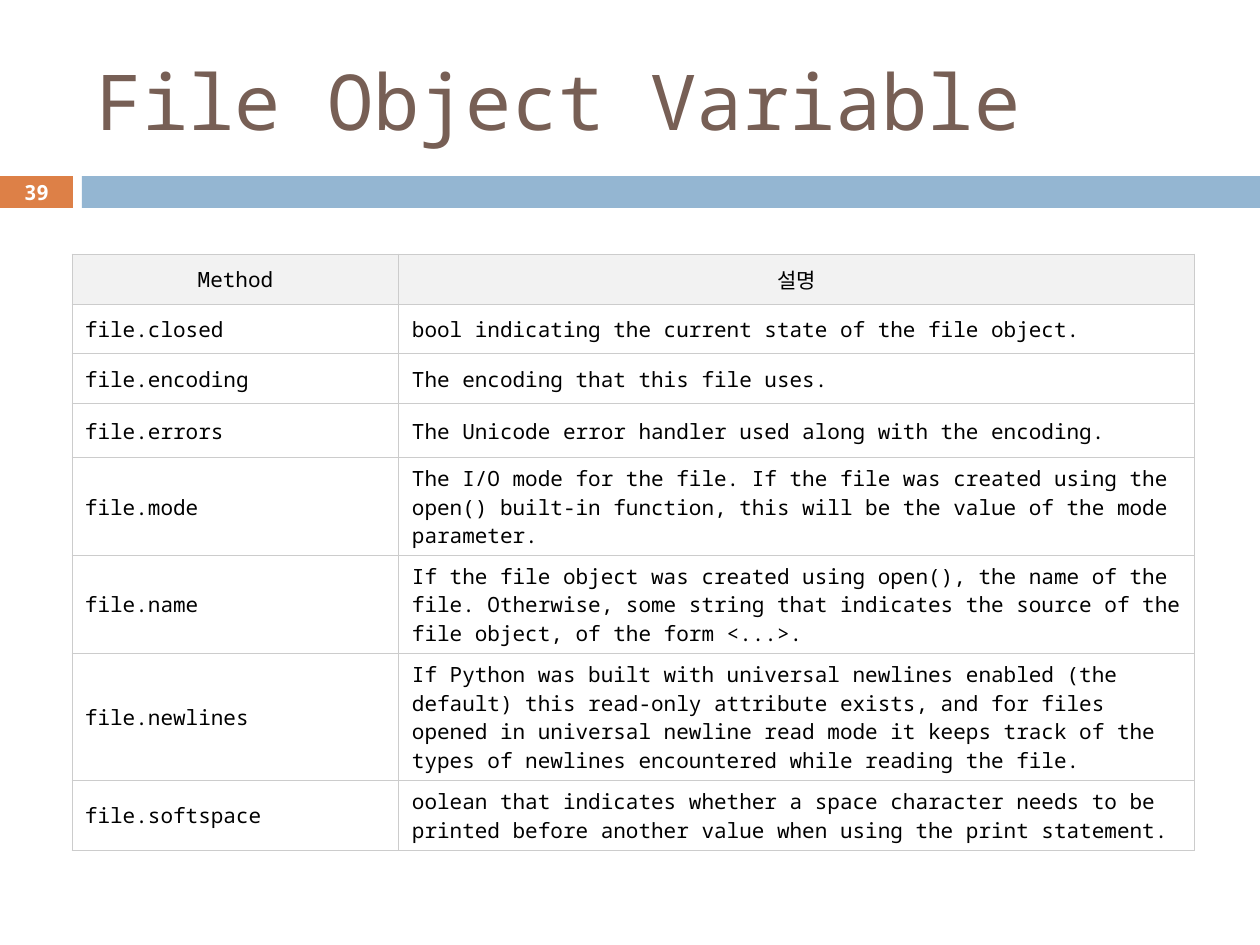
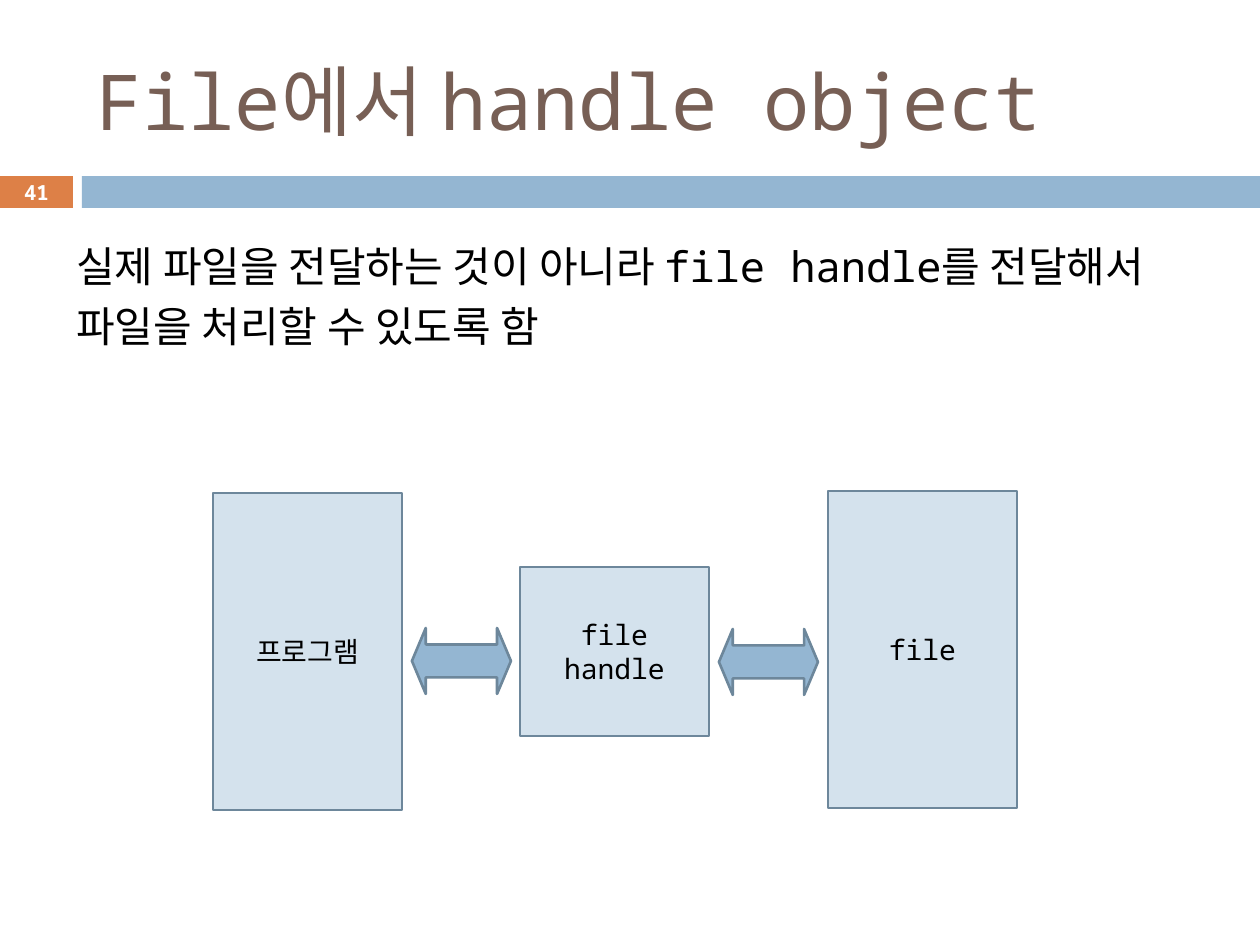
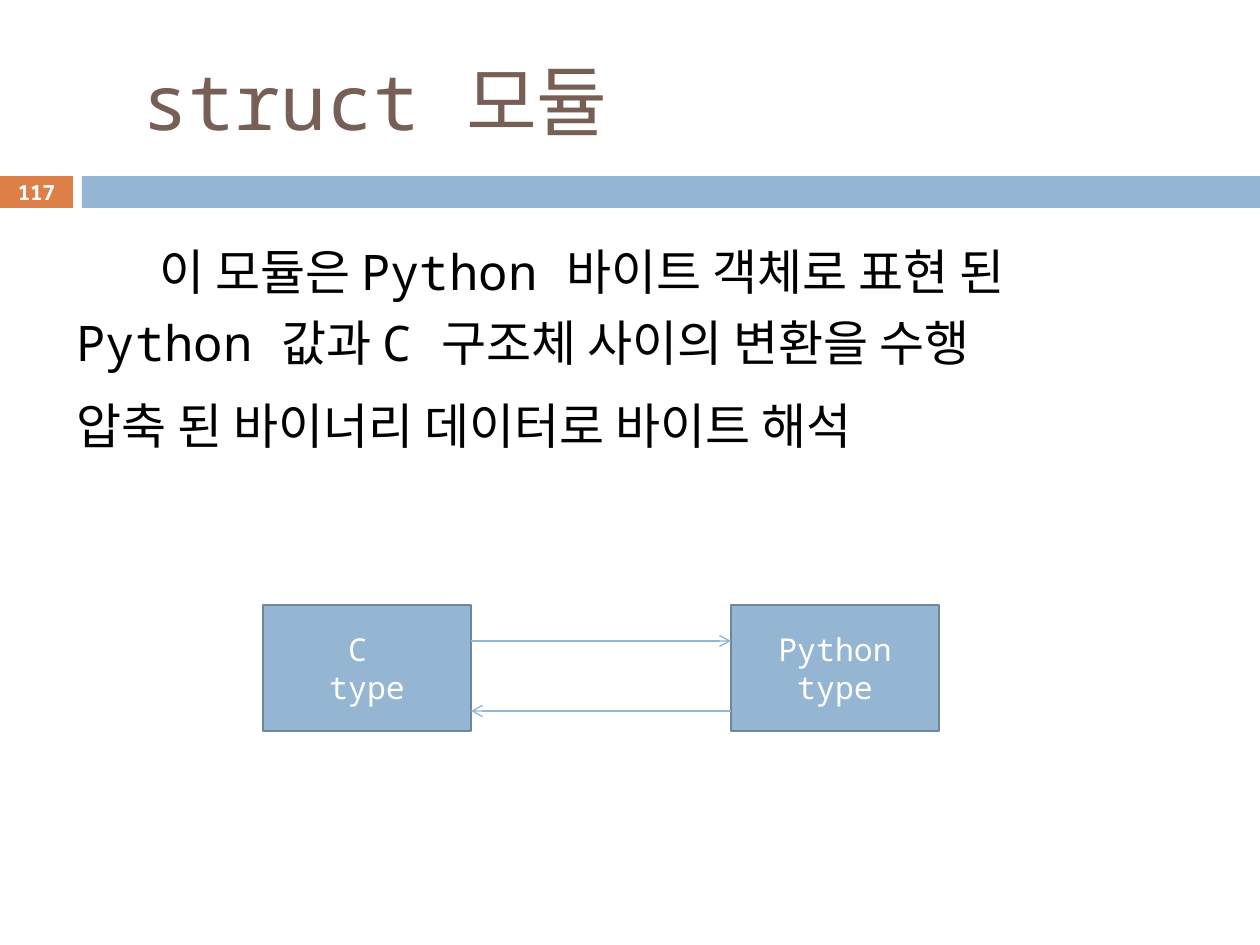
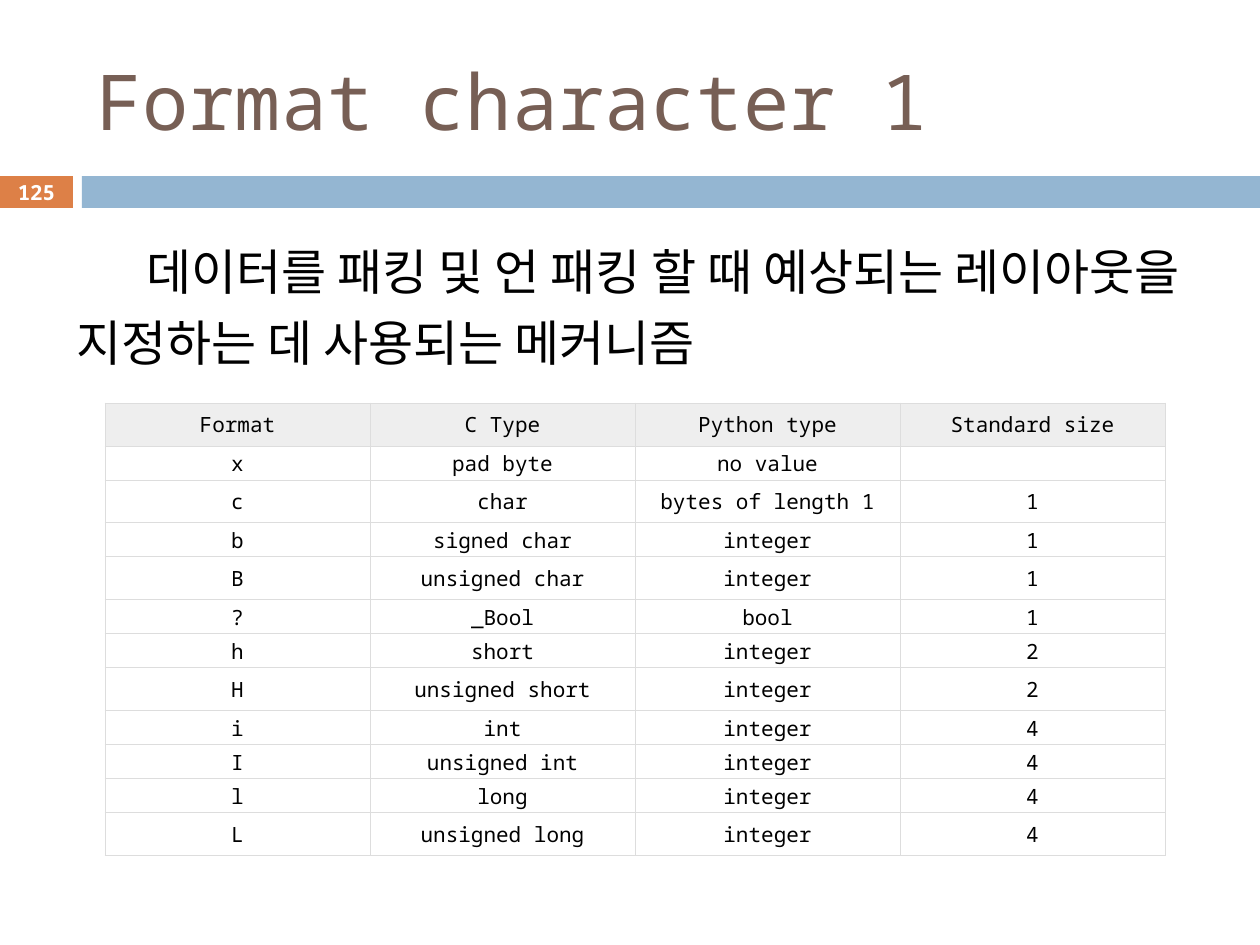
from dataclasses import dataclass
from typing import Optional

from lxml.etree import SubElement
from pptx import Presentation
from pptx.dml.color import RGBColor
from pptx.enum.shapes import MSO_CONNECTOR, MSO_SHAPE
from pptx.enum.text import MSO_ANCHOR, PP_ALIGN
from pptx.oxml.ns import qn
from pptx.shapes.autoshape import Shape
from pptx.slide import Slide
from pptx.table import _Cell
from pptx.text.text import TextFrame
from pptx.util import Emu, Pt

PX_PER_INCH = 126
FONT = "Noto Sans Mono"
BLACK = RGBColor(0x00, 0x00, 0x00)
WHITE = RGBColor(0xFF, 0xFF, 0xFF)
BROWN = RGBColor(0x77, 0x5F, 0x55)
ORANGE = RGBColor(0xDD, 0x80, 0x47)
BLUE = RGBColor(0x94, 0xB6, 0xD2)
PALE_BLUE = RGBColor(0xD4, 0xE2, 0xED)
OUTLINE = RGBColor(0x6D, 0x87, 0x9B)
VARIABLE_HEADER = RGBColor(0xF2, 0xF2, 0xF2)
VARIABLE_BORDER = RGBColor(0xCC, 0xCC, 0xCC)
FORMAT_HEADER = RGBColor(0xEE, 0xEE, 0xEE)
FORMAT_BORDER = RGBColor(0xDD, 0xDD, 0xDD)


def px(length: int) -> Emu:
    return Emu(round(length * 914400 / PX_PER_INCH))


@dataclass(frozen=True)
class Box:
    left: int
    top: int
    width: int
    height: int

    def emu(self) -> tuple[Emu, Emu, Emu, Emu]:
        return px(self.left), px(self.top), px(self.width), px(self.height)


@dataclass(frozen=True)
class TextStyle:
    size: float
    color: RGBColor = BLACK
    bold: bool = False
    align: PP_ALIGN = PP_ALIGN.LEFT
    line_spacing: float = 1.0
    space_before: int = 0


@dataclass(frozen=True)
class Node:
    box: Box
    text: str
    fill: RGBColor
    style: TextStyle


@dataclass(frozen=True)
class TableDesign:
    left: int
    top: int
    column_widths: list[int]
    row_heights: list[int]
    header_fill: RGBColor
    border: RGBColor
    inset_x: int
    inset_y: int
    body_align: PP_ALIGN


TITLE_BOX = Box(84, 32, 1124, 136)
NUMBER_BAND = Box(0, 176, 73, 32)
TITLE_BAND = Box(82, 176, 1178, 32)
NUMBER_BOX = Box(0, 175, 73, 34)

TITLE_STYLE = TextStyle(44, BROWN)
NUMBER_STYLE = TextStyle(11.9, WHITE, bold=True, align=PP_ALIGN.CENTER)
NODE_STYLE = TextStyle(16, align=PP_ALIGN.CENTER)
TYPE_STYLE = TextStyle(18, WHITE, align=PP_ALIGN.CENTER)
CELL_SIZE = 12

VARIABLE_ROWS = [
    ("Method", "설명"),
    ("file.closed", "bool indicating the current state of the file object."),
    ("file.encoding", "The encoding that this file uses."),
    ("file.errors", "The Unicode error handler used along with the encoding."),
    ("file.mode", "The I/O mode for the file. If the file was created using the open() "
     "built-in function, this will be the value of the mode parameter."),
    ("file.name", "If the file object was created using open(), the name of the file. "
     "Otherwise, some string that indicates the source of the file object, "
     "of the form <...>."),
    ("file.newlines", "If Python was built with universal newlines enabled (the default) "
     "this read-only attribute exists, and for files opened in universal newline read "
     "mode it keeps track of the types of newlines encountered while reading the file."),
    ("file.softspace", "oolean that indicates whether a space character needs to be "
     "printed before another value when using the print statement."),
]
VARIABLE_DESIGN = TableDesign(
    72, 254, [327, 796], [50, 50, 50, 54, 98, 98, 127, 70],
    VARIABLE_HEADER, VARIABLE_BORDER, 13, 6, PP_ALIGN.LEFT)

FORMAT_ROWS = [
    ("Format", "C Type", "Python type", "Standard size"),
    ("x", "pad byte", "no value", ""),
    ("c", "char", "bytes of length 1", "1"),
    ("b", "signed char", "integer", "1"),
    ("B", "unsigned char", "integer", "1"),
    ("?", "_Bool", "bool", "1"),
    ("h", "short", "integer", "2"),
    ("H", "unsigned short", "integer", "2"),
    ("i", "int", "integer", "4"),
    ("I", "unsigned int", "integer", "4"),
    ("l", "long", "integer", "4"),
    ("L", "unsigned long", "integer", "4"),
]
TALL_FORMATS = {"Format", "c", "B", "H", "L"}
FORMAT_DESIGN = TableDesign(
    105, 403, [265] * 4, [43 if row[0] in TALL_FORMATS else 34 for row in FORMAT_ROWS],
    FORMAT_HEADER, FORMAT_BORDER, 6, 3, PP_ALIGN.CENTER)


def write_text(text_frame: TextFrame, text: str, style: TextStyle, indent: int = 0) -> None:
    text_frame.text = text
    for index, paragraph in enumerate(text_frame.paragraphs):
        paragraph.alignment = style.align
        if style.line_spacing != 1.0:
            paragraph.line_spacing = style.line_spacing
        if index == 0 and indent:
            paragraph._p.get_or_add_pPr().set("indent", str(px(indent)))
        if index > 0 and style.space_before:
            paragraph.space_before = Pt(style.space_before)
        for run in paragraph.runs:
            run.font.name = FONT
            run.font.size = Pt(style.size)
            run.font.bold = style.bold
            run.font.color.rgb = style.color


def add_text(slide: Slide, box: Box, text: str, style: TextStyle,
             anchor: MSO_ANCHOR = MSO_ANCHOR.TOP, indent: int = 0) -> TextFrame:
    text_frame = slide.shapes.add_textbox(*box.emu()).text_frame
    text_frame.word_wrap = True
    text_frame.vertical_anchor = anchor
    write_text(text_frame, text, style, indent)
    return text_frame


def add_body(slide: Slide, text: str, size: int, height: int, indent: int = 0) -> None:
    style = TextStyle(size, line_spacing=1.2, space_before=7)
    add_text(slide, Box(64, 224, 1134, height), text, style, indent=indent)


def add_filled(slide: Slide, kind: MSO_SHAPE, box: Box, fill: RGBColor,
               outline: Optional[RGBColor] = None) -> Shape:
    shape = slide.shapes.add_shape(kind, *box.emu())
    shape.shadow.inherit = False
    shape.fill.solid()
    shape.fill.fore_color.rgb = fill
    if outline is None:
        shape.line.fill.background()
    else:
        shape.line.color.rgb = outline
        shape.line.width = Pt(1.5)
    return shape


def add_node(slide: Slide, node: Node) -> None:
    shape = add_filled(slide, MSO_SHAPE.RECTANGLE, node.box, node.fill, OUTLINE)
    shape.text_frame.word_wrap = True
    shape.text_frame.vertical_anchor = MSO_ANCHOR.MIDDLE
    write_text(shape.text_frame, node.text, node.style)


def add_arrow(slide: Slide, start_x: int, end_x: int, y: int) -> None:
    connector = slide.shapes.add_connector(
        MSO_CONNECTOR.STRAIGHT, px(start_x), px(y), px(end_x), px(y))
    connector.line.color.rgb = BLUE
    connector.line.width = Pt(0.79)
    SubElement(connector.line._get_or_add_ln(), qn("a:tailEnd"), type="arrow")
    SubElement(connector._element.spPr, qn("a:effectLst"))


def add_borders(cell: _Cell, color: RGBColor) -> None:
    properties = cell._tc.get_or_add_tcPr()
    for side in ("a:lnL", "a:lnR", "a:lnT", "a:lnB"):
        line = SubElement(properties, qn(side), w=str(Pt(0.6)))
        fill = SubElement(line, qn("a:solidFill"))
        SubElement(fill, qn("a:srgbClr"), val=str(color))


def format_cell(cell: _Cell, text: str, design: TableDesign, is_header: bool) -> None:
    align = PP_ALIGN.CENTER if is_header else design.body_align
    write_text(cell.text_frame, text, TextStyle(CELL_SIZE, align=align))
    if not text:
        ending = cell.text_frame.paragraphs[0]._p.get_or_add_endParaRPr()
        ending.set("sz", str(CELL_SIZE * 100))
    cell.vertical_anchor = MSO_ANCHOR.MIDDLE
    cell.margin_left = cell.margin_right = px(design.inset_x)
    cell.margin_top = cell.margin_bottom = px(design.inset_y)
    add_borders(cell, design.border)
    cell.fill.solid()
    cell.fill.fore_color.rgb = design.header_fill if is_header else WHITE


def add_data_table(slide: Slide, rows: list[tuple[str, ...]], design: TableDesign) -> None:
    box = Box(design.left, design.top, sum(design.column_widths), sum(design.row_heights))
    table = slide.shapes.add_table(len(rows), len(rows[0]), *box.emu()).table
    table.first_row = False
    table.horz_banding = False
    for column, width in zip(table.columns, design.column_widths):
        column.width = px(width)
    for row, height in zip(table.rows, design.row_heights):
        row.height = px(height)
    for row_index, row_texts in enumerate(rows):
        for column_index, text in enumerate(row_texts):
            format_cell(table.cell(row_index, column_index), text, design, row_index == 0)


def add_base_slide(presentation: Presentation, title: str, number: int,
                   title_indent: int = 0) -> Slide:
    slide = presentation.slides.add_slide(presentation.slide_layouts[6])
    add_filled(slide, MSO_SHAPE.RECTANGLE, NUMBER_BAND, ORANGE)
    add_filled(slide, MSO_SHAPE.RECTANGLE, TITLE_BAND, BLUE)
    add_text(slide, TITLE_BOX, title, TITLE_STYLE, MSO_ANCHOR.MIDDLE, title_indent)
    number_frame = add_text(slide, NUMBER_BOX, str(number), NUMBER_STYLE, MSO_ANCHOR.MIDDLE)
    number_frame.margin_left = number_frame.margin_right = 0
    number_frame.margin_top = number_frame.margin_bottom = 0
    return slide


def build_variable_slide(presentation: Presentation) -> None:
    slide = add_base_slide(presentation, "File Object Variable", 39)
    add_data_table(slide, VARIABLE_ROWS, VARIABLE_DESIGN)


def build_handle_slide(presentation: Presentation) -> None:
    slide = add_base_slide(presentation, "File에서 handle object", 41)
    add_body(slide, "실제 파일을 전달하는 것이 아니라 file handle를 전달해서 "
             "파일을 처리할 수 있도록 함", 24, 139)
    for box, text in (
        (Box(213, 493, 189, 317), "프로그램"),
        (Box(828, 491, 189, 317), "file"),
        (Box(520, 567, 189, 169), "file\nhandle"),
    ):
        add_node(slide, Node(box, text, PALE_BLUE, NODE_STYLE))
    for left, top in ((412, 628), (719, 629)):
        arrow = add_filled(slide, MSO_SHAPE.LEFT_RIGHT_ARROW, Box(left, top, 99, 66),
                           BLUE, OUTLINE)
        arrow.adjustments[0] = 0.5
        arrow.adjustments[1] = 0.21


def build_struct_slide(presentation: Presentation) -> None:
    slide = add_base_slide(presentation, "struct 모듈", 117, title_indent=46)
    add_body(slide, "이 모듈은 Python 바이트 객체로 표현 된 Python 값과 C 구조체 사이의 "
             "변환을 수행\n압축 된 바이너리 데이터로 바이트 해석", 28, 189, indent=83)
    c_box = Box(263, 605, 208, 126)
    python_box = Box(731, 605, 208, 126)
    add_node(slide, Node(c_box, "C \ntype", BLUE, TYPE_STYLE))
    add_node(slide, Node(python_box, "Python\ntype", BLUE, TYPE_STYLE))
    c_edge = c_box.left + c_box.width
    add_arrow(slide, c_edge, python_box.left, 641)
    add_arrow(slide, python_box.left, c_edge, 711)


def build_format_slide(presentation: Presentation) -> None:
    slide = add_base_slide(presentation, "Format character 1", 125)
    add_body(slide, "데이터를 패킹 및 언 패킹 할 때 예상되는 레이아웃을 지정하는 데 "
             "사용되는 메커니즘", 28, 189, indent=70)
    add_data_table(slide, FORMAT_ROWS, FORMAT_DESIGN)


def main() -> None:
    presentation = Presentation()
    presentation.slide_width = px(1260)
    presentation.slide_height = px(945)
    build_variable_slide(presentation)
    build_handle_slide(presentation)
    build_struct_slide(presentation)
    build_format_slide(presentation)
    presentation.save("out.pptx")


if __name__ == "__main__":
    main()
